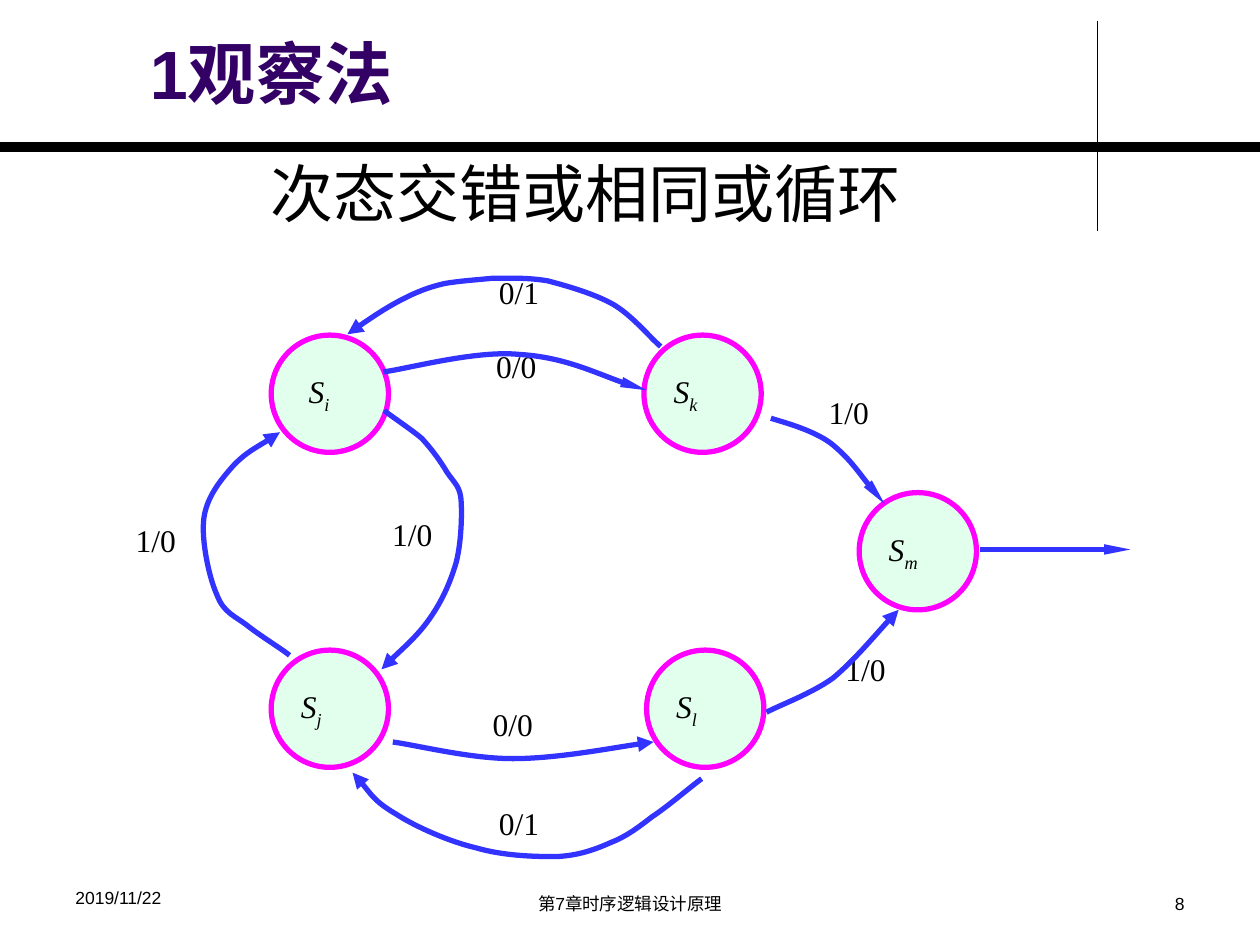
from collections import namedtuple
from dataclasses import dataclass

from lxml.etree import SubElement
from pptx import Presentation
from pptx.dml.color import RGBColor
from pptx.enum.shapes import MSO_CONNECTOR, MSO_SHAPE
from pptx.enum.text import MSO_ANCHOR, MSO_AUTO_SIZE, PP_ALIGN
from pptx.oxml.ns import qn
from pptx.util import Pt

Box = namedtuple("Box", "x y w h")


@dataclass(frozen=True)
class Theme:
    sans: str = "Arial"
    serif: str = "Times New Roman"
    ink: str = "000000"
    title: str = "330066"
    disc: str = "E2FEED"
    ring: str = "FF00FF"
    arc: str = "3333FF"
    head: int = 39
    lead: int = 36
    label: int = 18
    small: int = 10
    stroke: int = 3


T = Theme()
DISC = 67

NODES = [  # left, top, name, index
    (85, 41.5, " S", "i"),
    (85, 221.5, "S", "j"),
    (298, 41.5, "S", "k"),
    (299.5, 221.5, "S", "l"),
    (421, 131.5, "S", "m"),
]
LABELS = [
    (0.5, 144, "1/0"), (147, 141, "1/0"),
    (206.5, 45, "0/0"), (204.5, 249.5, "0/0"),
    (208, 2.5, "0/1"), (208, 306, "0/1"),
    (396.5, 71, "1/0"), (406, 218, "1/0"),
]
# Each arc is a start point followed by three points for each Bezier piece.
ARCS = {
    "ji": [(95.5, 224.5),
           (92, 221.5), (79, 213.5), (72, 208),
           (64.5, 202), (58, 200.5), (54, 190),
           (49.5, 180), (45, 159), (46.5, 146.5),
           (48, 134.5), (55.5, 125), (63, 116.5),
           (70.5, 108.5), (84, 101.5), (90, 97)],
    "ij": [(149.5, 84.5),
           (153, 87.5), (164.5, 95), (171, 100.5),
           (177, 107), (182, 114), (185.5, 120),
           (190, 126.5), (193, 128), (193.5, 136.5),
           (194, 145), (193.5, 161), (190.5, 172),
           (187, 183.5), (182.5, 193.5), (175.5, 203.5),
           (168.5, 213.5), (154, 226), (148, 232.5)],
    "ik": [(149, 62.5),
           (162, 61), (201.5, 50), (226.5, 52.5),
           (252, 54), (284, 69), (299.5, 73)],
    "jl": [(154.5, 274),
           (169, 276), (198.5, 283.5), (223, 283.5),
           (248, 283.5), (290, 275.5), (303.5, 274)],
    "ki": [(307.5, 48),
           (301.5, 43), (291.5, 30.5), (280.5, 24),
           (270, 18), (254.5, 13.5), (243, 10.5),
           (231.5, 8.5), (221, 9), (211.5, 9),
           (201.5, 10), (193, 10.5), (184, 12),
           (175.5, 14), (168.5, 16.5), (159, 21.5),
           (149.5, 26.5), (134, 37), (128.5, 41)],
    "lj": [(331, 295),
           (326, 298.5), (311.5, 311), (303, 316.5),
           (294.5, 323), (288, 328), (279, 331.5),
           (270, 335.5), (260.5, 339), (247.5, 339.5),
           (234.5, 339.5), (217.5, 339), (202, 334.5),
           (187, 331), (167.5, 322.5), (156, 315),
           (144, 308), (136.5, 296.5), (131.5, 291.5)],
    "lm": [(368, 257),
           (375.5, 253), (393.5, 246.5), (406, 237.5),
           (418, 227.5), (437, 205), (443.5, 198.5)],
    "km": [(370.5, 89),
           (376.5, 91), (394.5, 95.5), (405, 103.5),
           (415.5, 112), (429, 131), (435.5, 138)],
}
SLIM = ("ik", "km")


def tint(text):
    return RGBColor.from_string(text)


def write(frame, text, sub="", size=T.label, font=T.serif, color=T.ink,
          bold=False, italic=False, align=PP_ALIGN.LEFT,
          anchor=MSO_ANCHOR.TOP, wrap=False):
    frame.word_wrap = wrap
    frame.auto_size = MSO_AUTO_SIZE.NONE
    frame.vertical_anchor = anchor
    para = frame.paragraphs[0]
    para.alignment = align
    for part in filter(None, (text, sub)):
        run = para.add_run()
        run.text = part
        run.font.size, run.font.name = Pt(size), font
        run.font.bold, run.font.italic = bold, italic
        run.font.color.rgb = tint(color)
    if sub:
        run._r.get_or_add_rPr().set("baseline", "-25000")


def note(slide, box, text, **style):
    shape = slide.shapes.add_textbox(*map(Pt, box))
    write(shape.text_frame, text, **style)


def pen(line, color, width):
    line.color.rgb = tint(color)
    line.width = Pt(width)


def tip(line, slim=False):
    """Put an arrowhead at the end of a line."""
    width, length = ("sm", "lg") if slim else ("med", "med")
    SubElement(line._get_or_add_ln(), qn("a:tailEnd"),
               type="triangle", w=width, len=length)


def rule(slide, start, end, color, width):
    line = slide.shapes.add_connector(
        MSO_CONNECTOR.STRAIGHT, *map(Pt, (*start, *end)))
    pen(line.line, color, width)
    SubElement(line._element.spPr, qn("a:effectLst"))
    return line


def node(slide, x, y, name, index):
    disc = slide.shapes.add_shape(
        MSO_SHAPE.OVAL, Pt(x), Pt(y), Pt(DISC), Pt(DISC))
    disc.shadow.inherit = False
    disc.fill.solid()
    disc.fill.fore_color.rgb = tint(T.disc)
    pen(disc.line, T.ring, T.stroke)
    write(disc.text_frame, name, sub=index, italic=True,
          anchor=MSO_ANCHOR.MIDDLE)


def arc(slide, points, slim):
    """Draw an open outline, with each three segments turned into a curve."""
    start, *rest = [(Pt(x), Pt(y)) for x, y in points]
    form = slide.shapes.build_freeform(*start)
    form.add_line_segments(rest, close=False)
    shape = form.convert_to_shape()
    shape.shadow.inherit = False
    shape.fill.background()
    pen(shape.line, T.arc, T.stroke)
    tip(shape.line, slim)
    track = next(shape._element.iter(qn("a:path")))
    lines = track.findall(qn("a:lnTo"))
    for i in range(0, len(lines), 3):
        curve = SubElement(track, qn("a:cubicBezTo"))
        for line in lines[i:i + 3]:
            curve.append(line[0])
            track.remove(line)


def header(slide, box):
    cross = box.x + 627
    base = box.y + 84
    rule(slide, (cross, box.y + 12), (cross, box.y + 132), T.ink, 0.75)
    rule(slide, (box.x, base), (box.x + box.w, base), T.ink, 6)
    title = slide.shapes.title
    title.left, title.top = Pt(box.x + 78.5), Pt(box.y + 14.5)
    title.width, title.height = Pt(543.5), Pt(58.5)
    write(title.text_frame, "1观察法", size=T.head, font=T.sans,
          color=T.title, bold=True, wrap=True)
    note(slide, (box.x + 147.5, box.y + 85, 378, 51),
         "次态交错或相同或循环", size=T.lead)


def graph(slide, box):
    for x, y, name, index in NODES:
        node(slide, box.x + x, box.y + y, name, index)
    for x, y, text in LABELS:
        note(slide, (box.x + x, box.y + y, 50, 41), text)
    for key, points in ARCS.items():
        arc(slide, [(box.x + x, box.y + y) for x, y in points], key in SLIM)
    level = box.y + 164
    out = rule(slide, (box.x + 490, level), (box.x + box.w, level),
               T.arc, T.stroke)
    tip(out.line, slim=True)


def footer(slide, box):
    style = dict(size=T.small, font=T.sans, wrap=True)
    side = 168
    note(slide, (box.x, box.y, side, 24.5), "2019/11/22", **style)
    note(slide, (box.x + 210, box.y + 3.5, 228, 21),
         "第7章时序逻辑设计原理", align=PP_ALIGN.CENTER, **style)
    note(slide, (box.x + box.w - side, box.y + 3.5, side, 21),
         "8", align=PP_ALIGN.RIGHT, **style)


def main():
    deck = Presentation()
    deck.slide_width, deck.slide_height = Pt(720), Pt(540)
    slide = deck.slides.add_slide(deck.slide_layouts[5])
    header(slide, Box(0, 0, 720, 136))
    graph(slide, Box(70, 150, 576, 347))
    footer(slide, Box(36, 503.5, 648, 24.5))
    deck.save("out.pptx")


if __name__ == "__main__":
    main()
